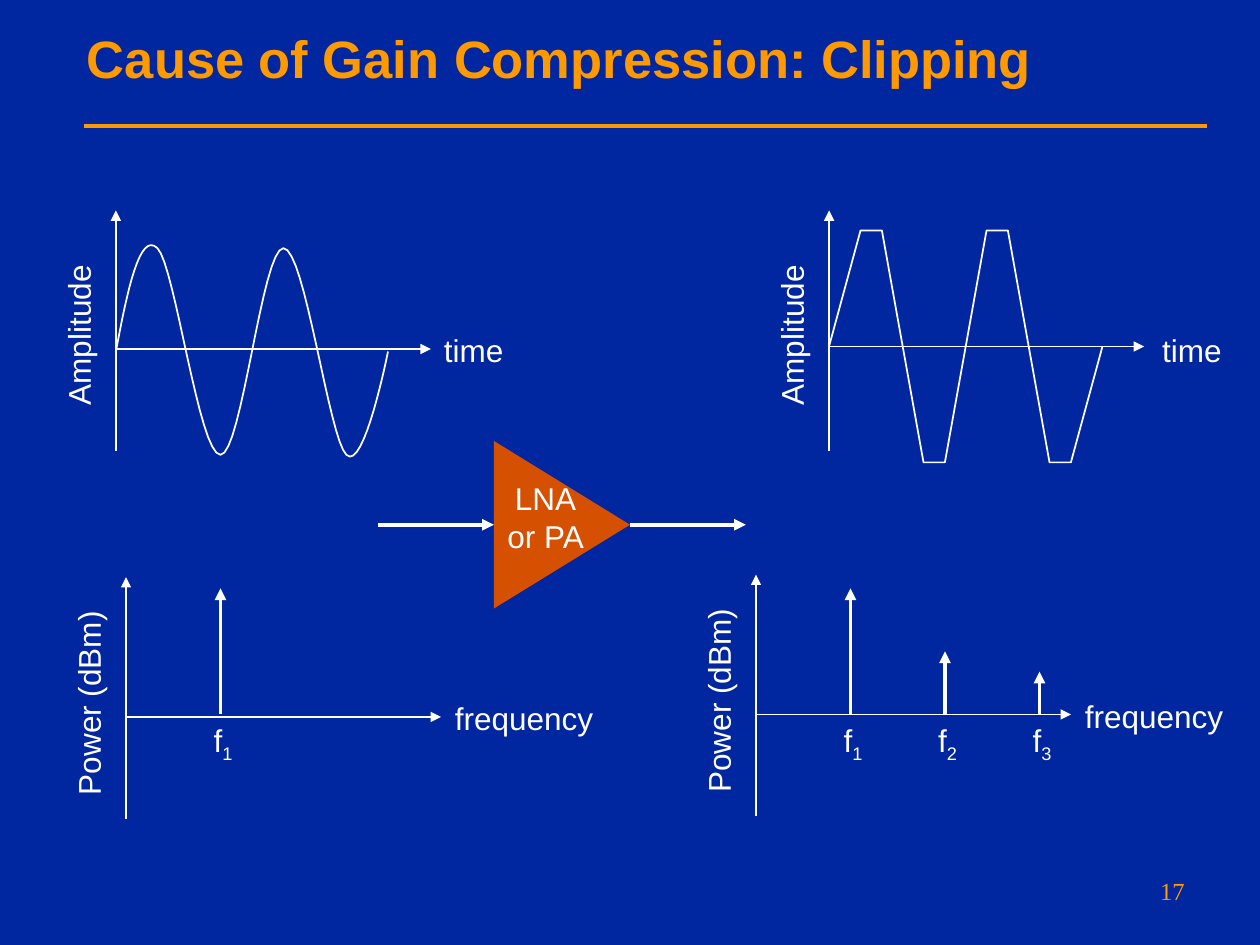
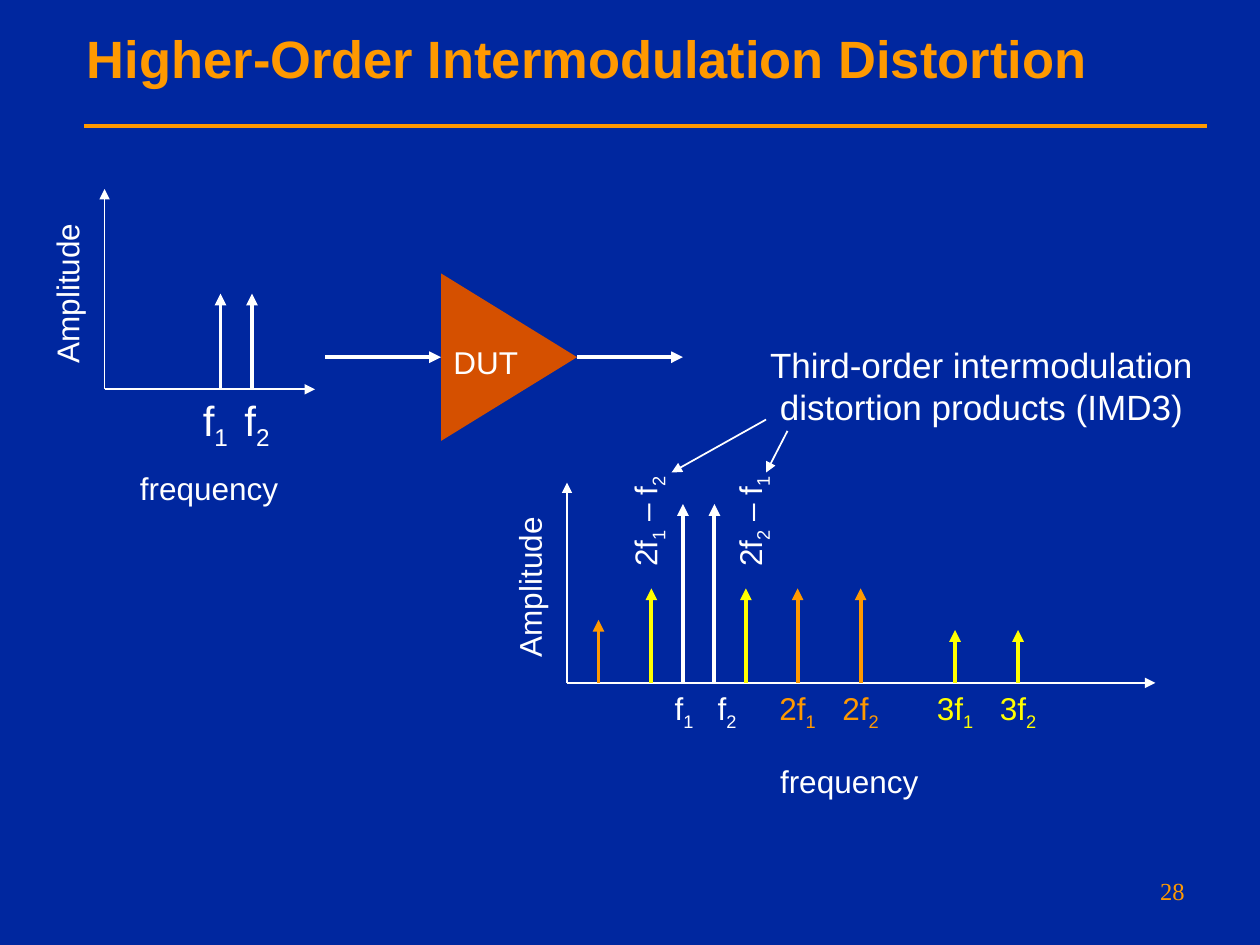
from lxml import etree
from pptx import Presentation
from pptx.dml.color import RGBColor
from pptx.enum.shapes import MSO_CONNECTOR, MSO_SHAPE
from pptx.enum.text import MSO_ANCHOR, MSO_AUTO_SIZE, PP_ALIGN
from pptx.oxml.ns import qn
from pptx.util import Inches, Pt

COLOURS = {
    "background": "00279F",
    "accent": "FF9900",
    "ink": "FFFFFF",
    "amplifier": "D55000",
    "third_order": "FFFF00",
}
THIN, THICK = 1, 2.25


def rgb(name):
    return RGBColor.from_string(COLOURS[name])


def style_font(font, size, colour, face="Arial", bold=False):
    font.name, font.size, font.bold = face, Pt(size), bold
    font.color.rgb = rgb(colour)


# Drawing helpers
def draw_line(slide, start, end, weight=THIN, colour="ink", arrow=True):
    line = slide.shapes.add_connector(
        MSO_CONNECTOR.STRAIGHT, *map(Inches, (*start, *end)))
    line.line.color.rgb = rgb(colour)
    line.line.width = Pt(weight)
    properties = line._element.spPr
    if arrow:
        etree.SubElement(properties.find(qn("a:ln")), qn("a:tailEnd"), type="triangle")
    etree.SubElement(properties, qn("a:effectLst"))


def draw_curve(slide, points):
    corners = [(Inches(x), Inches(y)) for x, y in points]
    builder = slide.shapes.build_freeform(*corners[0])
    builder.add_line_segments(corners[1:], close=False)
    curve = builder.convert_to_shape()
    curve.shadow.inherit = False
    curve.fill.background()
    curve.line.color.rgb = rgb("ink")
    curve.line.width = Pt(THIN)


def add_label(slide, centre_x, centre_y, width, text, size=18, colour="ink", rotation=0):
    """Centre a label on a point; the character after each "_" is a subscript."""
    lines = text.split("\n")
    height = 0.1 + (0.019 if "_" in text else 0.0165) * size * len(lines)
    box = slide.shapes.add_textbox(
        Inches(centre_x - width / 2), Inches(centre_y - height / 2),
        Inches(width), Inches(height))
    box.rotation = rotation
    frame = box.text_frame
    # No side margins, so that a snug box never breaks its line
    frame.margin_left = frame.margin_right = Inches(0)
    frame.word_wrap = False
    frame.auto_size = MSO_AUTO_SIZE.NONE
    frame.text = text.split("_")[0]
    for piece in text.split("_")[1:]:
        subscript = frame.paragraphs[0].add_run()
        subscript.text = piece[0]
        subscript._r.get_or_add_rPr().set("baseline", "-25000")
        if piece[1:]:
            frame.paragraphs[0].add_run().text = piece[1:]
    for paragraph in frame.paragraphs:
        paragraph.alignment = PP_ALIGN.CENTER
        for run in paragraph.runs:
            style_font(run.font, size, colour)


# Shared frame: title, rule and page number
def add_framed_slide(prs, title, page):
    slide = prs.slides.add_slide(prs.slide_layouts[5])
    draw_line(slide, (0.67, 1), (9.58, 1), THICK, "accent", arrow=False)

    heading = slide.shapes.title
    heading.left, heading.top = Inches(0.59), Inches(0)
    heading.width, heading.height = Inches(9), Inches(0.91)
    frame = heading.text_frame
    frame.text = title
    frame.auto_size = MSO_AUTO_SIZE.NONE
    frame.vertical_anchor = MSO_ANCHOR.MIDDLE
    frame.paragraphs[0].alignment = PP_ALIGN.LEFT
    style_font(frame.paragraphs[0].runs[0].font, 30, "accent", bold=True)

    number = slide.shapes.add_textbox(
        Inches(7.75), Inches(6.9), Inches(1.75), Inches(0.43)).text_frame
    number.word_wrap = True
    number.text = str(page)
    number.paragraphs[0].alignment = PP_ALIGN.RIGHT
    style_font(number.paragraphs[0].runs[0].font, 14, "accent", "Times New Roman")
    return slide


# Diagram regions
def add_axes(slide, left, top, width, height, baseline, x_name, y_name):
    """x_name is (text, width, dx, dy); y_name is (text, width, dy)."""
    draw_line(slide, (left, top + baseline), (left + width, top + baseline))
    draw_line(slide, (left, top + height), (left, top))
    text, text_width, dx, dy = x_name
    add_label(slide, left + dx, top + dy, text_width, text)
    text, text_width, dy = y_name
    add_label(slide, left - 0.3, top + dy, text_width, text, rotation=270)


def add_waveform(slide, left, top, baseline, time_dx, points):
    add_axes(slide, left, top, 2.5, 1.91, baseline,
             ("time", 0.67, time_dx, 1.11), ("Amplitude", 1.31, 0.99))
    draw_curve(slide, [(left + x, top + y) for x, y in points])


def add_power_spectrum(slide, left, top):
    add_axes(slide, left, top, 2.5, 1.92, 1.11,
             ("frequency", 1.3, 3.16, 1.12), ("Power (dBm)", 1.66, 1))


def add_amplitude_spectrum(slide, left, top, width, name_dx):
    add_axes(slide, left, top, width, 1.59, 1.59,
             ("frequency", 1.3, name_dx, 2.37), ("Amplitude", 1.31, 0.83))


def add_tones(slide, left, base, tones, size=18):
    """Each tone is (dx, height, colour, name, dx of the name)."""
    for dx, height, colour, name, name_dx in tones:
        draw_line(slide, (left + dx, base), (left + dx, base - height), THICK, colour)
        if name:
            width = 0.2 + 0.15 * size / 18 * (len(name) - 2)
            add_label(slide, left + name_dx, base + 0.05 + 0.0095 * size,
                      width, name, size, colour)


def add_amplifier(slide, left, top, name, name_width, name_dy, output):
    width, height = 1.08, 1.33
    inset = (height - width) / 2
    triangle = slide.shapes.add_shape(
        MSO_SHAPE.ISOSCELES_TRIANGLE, Inches(left - inset), Inches(top + inset),
        Inches(height), Inches(width))
    triangle.rotation = 90
    triangle.shadow.inherit = False
    triangle.fill.solid()
    triangle.fill.fore_color.rgb = rgb("amplifier")
    triangle.line.fill.background()
    middle, tip = top + height / 2, left + width
    draw_line(slide, (left - 0.92, middle), (left, middle), THICK)
    draw_line(slide, (tip, middle), (tip + output, middle), THICK)
    add_label(slide, left + name_width / 2, top + name_dy, name_width, name)


# Signal shapes
def sine_points(steps=16):
    """Sample the Bezier arcs of the sine, relative to its axes."""
    start = (0, 1.12)
    arcs = [
        ((0.09, 0.64), (0.19, 0.16), (0.33, 0.3)),
        ((0.47, 0.44), (0.66, 1.94), (0.83, 1.94)),
        ((1, 1.94), (1.16, 0.3), (1.33, 0.3)),
        ((1.5, 0.3), (1.69, 1.81), (1.83, 1.94)),
        ((1.97, 2.08), (2.16, 1.12), (2.16, 1.12)),
    ]
    points = [start]
    for first, second, end in arcs:
        for step in range(1, steps + 1):
            t = step / steps
            weights = ((1 - t) ** 3, 3 * t * (1 - t) ** 2, 3 * t * t * (1 - t), t ** 3)
            controls = (start, first, second, end)
            points.append(tuple(
                sum(w * c[axis] for w, c in zip(weights, controls)) for axis in (0, 1)))
        start = end
    return points


def clipped_points(baseline, high=0.16, low=2):
    points = [(0, baseline)]
    for cycle in (0, 1):
        points += [(cycle + 0.25, high), (cycle + 0.42, high),
                   (cycle + 0.75, low), (cycle + 0.92, low)]
    return points + [(2.17, baseline)]


# Slides
def build_clipping(prs):
    slide = add_framed_slide(prs, "Cause of Gain Compression: Clipping", 17)
    add_waveform(slide, 0.92, 1.67, 1.1, 2.84, sine_points())
    add_waveform(slide, 6.58, 1.67, 1.08, 2.88, clipped_points(1.08))
    add_amplifier(slide, 3.92, 3.5, "LNA\nor PA", 0.82, 0.6, 0.92)
    add_power_spectrum(slide, 1, 4.58)
    add_power_spectrum(slide, 6, 4.56)
    harmonics = [(0.75 * order, height, "ink", f"f_{order}", 0.75 * order + 0.02)
                 for order, height in enumerate((1, 0.5, 0.34), 1)]
    add_tones(slide, 1, 5.67, harmonics[:1])
    add_tones(slide, 6, 5.67, harmonics)


def build_intermodulation(prs):
    slide = add_framed_slide(prs, "Higher-Order Intermodulation Distortion", 28)

    # Two input tones into the device
    add_amplitude_spectrum(slide, 0.83, 1.5, 1.67, 0.83)
    add_tones(slide, 0.83, 3.08, [
        (0.92, 0.75, "ink", "f_1", 0.88),
        (1.17, 0.75, "ink", "f_2", 1.21),
    ], size=24)
    add_amplifier(slide, 3.5, 2.17, "DUT", 0.71, 0.7, 0.84)

    # Output products
    add_amplitude_spectrum(slide, 4.5, 3.83, 4.67, 2.24)
    add_tones(slide, 4.5, 5.42, [
        (0.25, 0.5, "accent", "", 0),
        (0.67, 0.75, "third_order", "", 0),
        (0.92, 1.42, "ink", "f_1", 0.93),
        (1.17, 1.42, "ink", "f_2", 1.27),
        (1.42, 0.75, "third_order", "", 0),
        (1.83, 0.75, "accent", "2f_1", 1.83),
        (2.33, 0.75, "accent", "2f_2", 2.33),
        (3.08, 0.42, "third_order", "3f_1", 3.08),
        (3.58, 0.42, "third_order", "3f_2", 3.58),
    ])

    # Third-order callout
    add_label(slide, 5.14, 4.14, 0.91, "2f_1 – f_2", rotation=270)
    add_label(slide, 5.97, 4.14, 0.91, "2f_2 – f_1", rotation=270)
    add_label(slide, 7.79, 3.06, 3.55,
              "Third-order intermodulation\ndistortion products (IMD3)", size=20)
    draw_line(slide, (6.08, 3.33), (5.33, 3.75))
    draw_line(slide, (6.25, 3.42), (6.08, 3.75))


def main():
    prs = Presentation()
    prs.slide_width, prs.slide_height = Inches(10), Inches(7.5)
    backdrop = prs.slide_master.background.fill
    backdrop.solid()
    backdrop.fore_color.rgb = rgb("background")
    build_clipping(prs)
    build_intermodulation(prs)
    prs.save("out.pptx")


if __name__ == "__main__":
    main()
